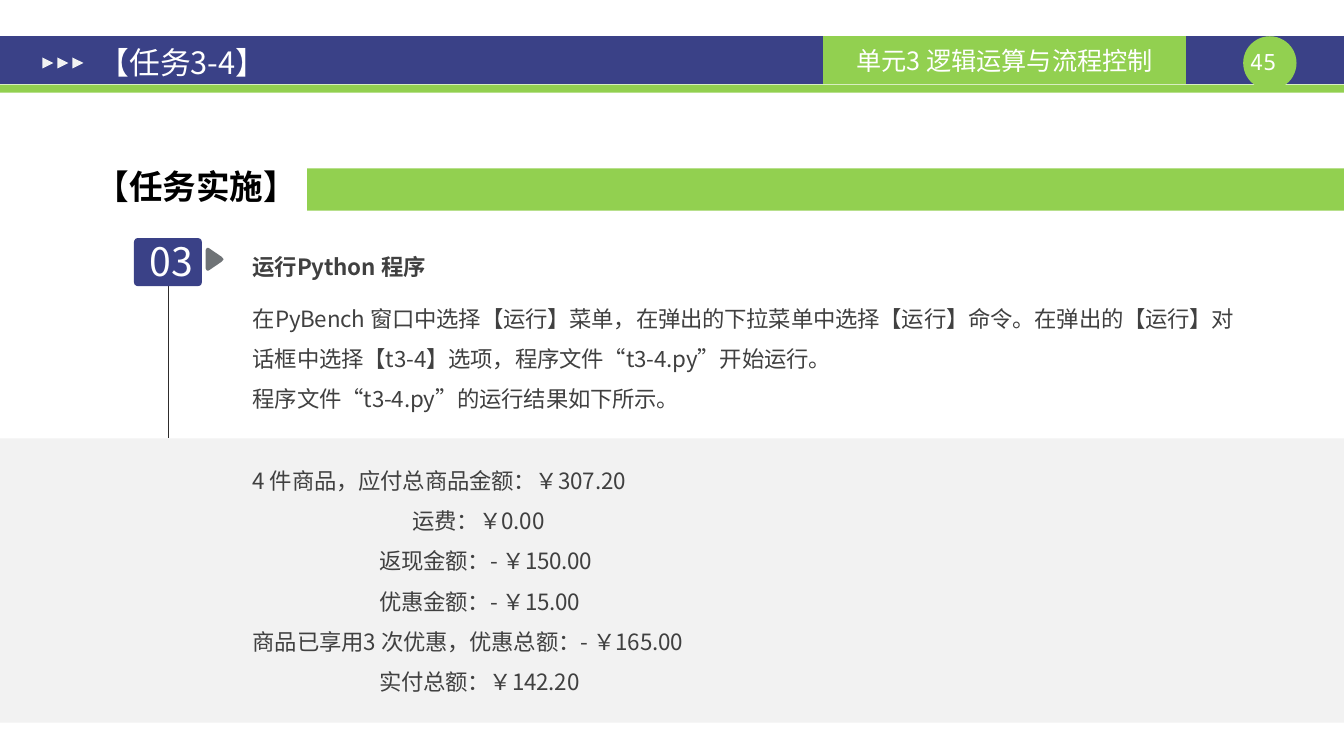
from lxml import etree
from pptx import Presentation
from pptx import util as u
from pptx.dml.color import RGBColor
from pptx.enum import shapes, text
from pptx.oxml.ns import qn

NAVY = RGBColor(0x3A, 0x41, 0x87)
GREEN = RGBColor(0x92, 0xD0, 0x50)
PALE = RGBColor(0xF2, 0xF2, 0xF2)
GREY = RGBColor(0x6F, 0x73, 0x76)
INK = RGBColor(0x40, 0x40, 0x40)
DARK = RGBColor(0x2E, 0x2C, 0x2C)
BLACK = RGBColor(0, 0, 0)
WHITE = RGBColor(255, 255, 255)
SANS, MONO = "Noto Sans CJK SC", "Noto Sans Mono"

TITLE = "【任务3-4】"
UNIT = "单元3 逻辑运算与流程控制"
PAGE = "45"
SECTION = "【任务实施】"
STEP_NUMBER = "03"
STEP_TITLE = "运行Python 程序"
EXPLANATION = [
    "在PyBench 窗口中选择【运行】菜单，在弹出的下拉菜单中选择【运行】命令。"
    "在弹出的【运行】对话框中选择【t3-4】选项，程序文件“t3-4.py”开始运行。",
    "程序文件“t3-4.py”的运行结果如下所示。",
]
# Each result line with its indent in columns
RESULTS = [
    ("4 件商品，应付总商品金额：￥307.20", 0),
    ("运费：￥0.00", 11.9),
    ("返现金额：- ￥150.00", 9.4),
    ("优惠金额：- ￥15.00", 9.4),
    ("商品已享用3 次优惠，优惠总额：- ￥165.00", 0),
    ("实付总额：￥142.20", 9.4),
]

# The slide is a grid of 100 columns by 100 rows
WIDTH, HEIGHT = u.Inches(13.34), u.Inches(7.5)
HEADER_TOP, HEADER_ROWS = 4.8, 6.3
PANEL_TOP = 58
TEXT_LEFT, TEXT_COLUMNS = 18.07, 75.64
SHAPE = shapes.MSO_SHAPE
CENTER = text.PP_ALIGN.CENTER
MIDDLE = text.MSO_ANCHOR.MIDDLE
ARROW = [(0, 0.1), (0.08, 0), (0.17, 0), (0.72, 0.3), (0.9, 0.4), (1, 0.5),
         (0.9, 0.6), (0.72, 0.7), (0.17, 1), (0.08, 1), (0, 0.9)]


def column(value):
    return u.Emu(round(WIDTH * value / 100))


def row(value):
    return u.Emu(round(HEIGHT * value / 100))


def grid(left, top, columns, rows):
    return column(left), row(top), column(columns), row(rows)


def paint(shape, color):
    shape.shadow.inherit = False
    shape.fill.solid()
    shape.fill.fore_color.rgb = color
    shape.line.fill.background()
    return shape


def add_block(slide, kind, place, color):
    return paint(slide.shapes.add_shape(kind, *grid(*place)), color)


def write(shape, lines, size, color, font=SANS, bold=False, align=None,
          anchor=text.MSO_ANCHOR.TOP, spacing=None, tracking=None,
          insets=(0.1, 0.05)):
    """Fill a shape with lines, each a string or a (string, indent) pair."""
    frame = shape.text_frame
    frame.word_wrap = True
    frame.auto_size = text.MSO_AUTO_SIZE.NONE
    frame.vertical_anchor = anchor
    frame.margin_left = frame.margin_right = u.Inches(insets[0])
    frame.margin_top = frame.margin_bottom = u.Inches(insets[1])
    for index, line in enumerate(lines):
        words, indent = (line, 0) if isinstance(line, str) else line
        paragraph = frame.add_paragraph() if index else frame.paragraphs[0]
        paragraph.alignment = align or text.PP_ALIGN.LEFT
        paragraph.line_spacing = spacing
        if indent:
            properties = paragraph._p.get_or_add_pPr()
            properties.set("marL", str(column(indent)))
            properties.set("indent", "0")
        run = paragraph.add_run()
        run.text = words
        run.font.size = u.Pt(size)
        run.font.bold = bold
        run.font.color.rgb = color
        run.font.name = font
        properties = run._r.get_or_add_rPr()
        etree.SubElement(properties, qn("a:ea")).set("typeface", font)
        if tracking:
            properties.set("spc", str(tracking))


def add_text(slide, place, lines, size, color, **style):
    write(slide.shapes.add_textbox(*grid(*place)), lines, size, color, **style)


def add_header(slide):
    add_block(slide, SHAPE.RECTANGLE, (0, HEADER_TOP, 100, HEADER_ROWS), NAVY)
    add_block(slide, SHAPE.RECTANGLE, (0, 11.2, 100, 1.07), GREEN)
    add_block(slide, SHAPE.OVAL, (92.5, HEADER_TOP, 3.97, 7.07), GREEN)
    add_text(slide, (92, 6.4, 3.97, 3.6), [PAGE], 16, WHITE, font=MONO,
             align=CENTER, insets=(0, 0))
    unit = add_block(slide, SHAPE.RECTANGLE,
                     (61.24, HEADER_TOP, 27, HEADER_ROWS), GREEN)
    write(unit, [UNIT], 18, WHITE, align=CENTER, anchor=MIDDLE)
    for index in range(3):
        marker = add_block(slide, SHAPE.ISOSCELES_TRIANGLE,
                           (3.15 + 1.12 * index, 7.6, 0.82, 1.47), PALE)
        marker.rotation = 90

    title = slide.shapes.title
    title.left, title.top, title.width, title.height = grid(6.37, 5.33, 60.5, 5.87)
    write(title, [TITLE], 22, WHITE, anchor=MIDDLE, insets=(0.13, 0.07))
    slide.shapes._spTree.append(title._element)


def add_step_marker(slide):
    stem = slide.shapes.add_connector(
        shapes.MSO_CONNECTOR.STRAIGHT,
        column(12.52), row(34.5), column(12.52), row(PANEL_TOP))
    stem.line.color.rgb = DARK
    stem.line.width = u.Pt(1)
    etree.SubElement(stem._element.spPr, qn("a:effectLst"))

    left, top, width, height = grid(15.29, 32.8, 1.35, 3)
    points = [(left + width * x, top + height * y) for x, y in ARROW]
    builder = slide.shapes.build_freeform(*points[0])
    builder.add_line_segments(points[1:], close=True)
    paint(builder.convert_to_shape(), GREY)

    badge = add_block(slide, SHAPE.ROUNDED_RECTANGLE, (9.97, 31.5, 5.05, 6.35), NAVY)
    badge.adjustments[0] = 0.08
    add_text(slide, (9.82, 30.8, 5.85, 7.6), [STEP_NUMBER], 28, WHITE, align=CENTER)


def main():
    presentation = Presentation()
    presentation.slide_width, presentation.slide_height = WIDTH, HEIGHT
    slide = presentation.slides.add_slide(presentation.slide_layouts[5])

    add_header(slide)
    add_block(slide, SHAPE.RECTANGLE, (0, PANEL_TOP, 100, 37.6), PALE)
    add_step_marker(slide)
    add_block(slide, SHAPE.RECTANGLE, (22.86, 22.27, 77.14, 5.6), GREEN)
    add_text(slide, (6.37, 21.33, 19.64, 6.67), [SECTION], 24, BLACK, bold=True)

    body = {"spacing": 1.5, "tracking": -10}
    for top, rows, lines, bold in [
        (31.07, 6.13, [STEP_TITLE], True),
        (37.87, 17.5, EXPLANATION, False),
        (59.35, 33.7, RESULTS, False),
    ]:
        add_text(slide, (TEXT_LEFT, top, TEXT_COLUMNS, rows), lines, 16, INK,
                 bold=bold, **body)

    presentation.save("out.pptx")


if __name__ == "__main__":
    main()
